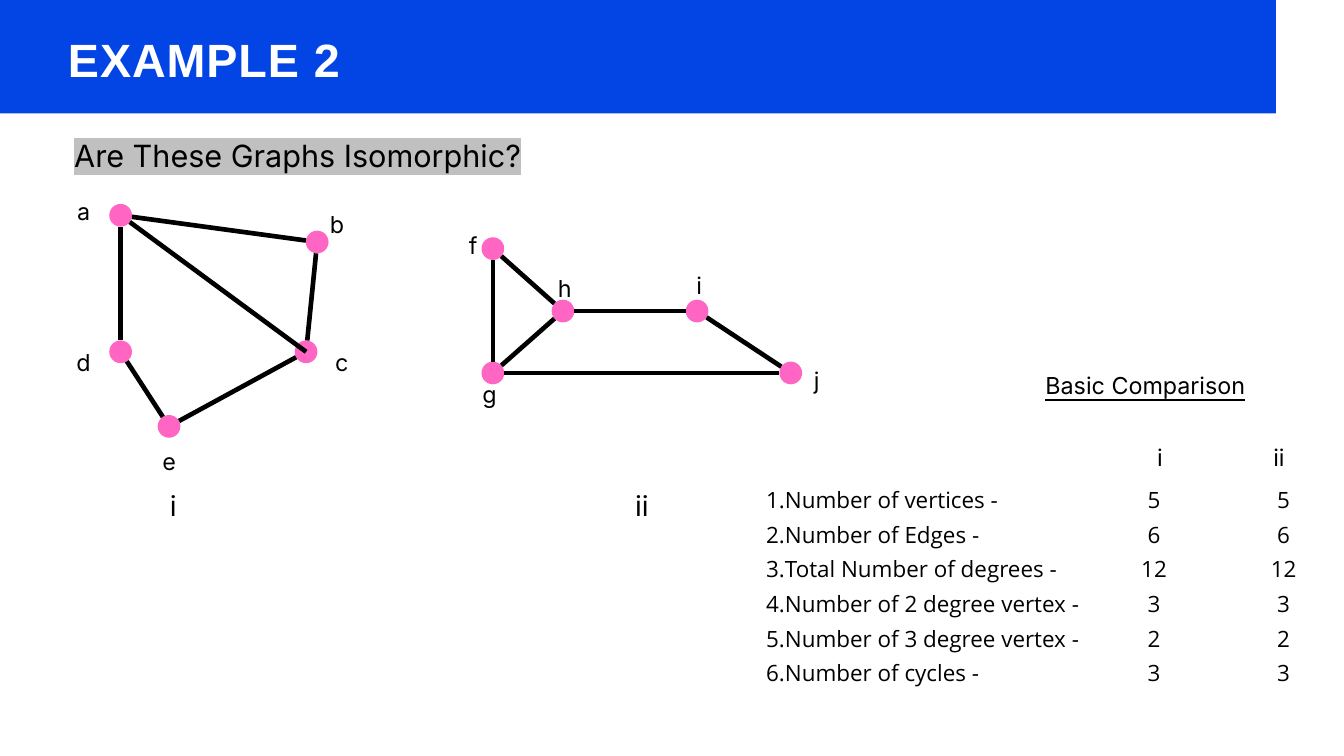
"""Build the slide that compares two graphs for isomorphism."""
import math
from dataclasses import dataclass
from typing import NamedTuple

import lxml.etree
import pptx
import pptx.dml.color
import pptx.enum.shapes
import pptx.enum.text
import pptx.oxml.ns
import pptx.util

Cm = pptx.util.Cm
Pt = pptx.util.Pt
ALIGN = pptx.enum.text.PP_ALIGN
qn = pptx.oxml.ns.qn


@dataclass(frozen=True)
class Theme:
    banner: str = "0345E4"
    white: str = "FFFFFF"
    ink: str = "000000"
    vertex: str = "FF66C4"
    highlight: str = "C0C0C0"
    title_font: str = "Arial"
    font: str = "Inter"
    list_font: str = "Open Sans"
    title: float = 50
    question: float = 32.8
    caption: float = 30
    label: float = 25
    item: float = 24
    edge: float = 5
    radius: float = 0.43


class Box(NamedTuple):
    x: float
    y: float
    w: float
    h: float


class Vertex(NamedTuple):
    name: str
    x: float
    y: float
    label_x: float
    label_y: float


class Edge(NamedTuple):
    start: str
    end: str
    reaches_centre: bool = False


class Graph(NamedTuple):
    caption: str
    caption_x: float
    vertices: list[Vertex]
    edges: list[Edge]


class Comparison(NamedTuple):
    measure: str
    first: int
    second: int


T = Theme()

GRAPHS = [
    Graph("i", 6.55, [
        Vertex("a", 4.56, 8.14, 3.16, 7.84),
        Vertex("b", 11.99, 9.15, 12.74, 8.34),
        Vertex("c", 11.57, 13.3, 12.92, 13.55),
        Vertex("d", 4.56, 13.3, 3.16, 13.55),
        Vertex("e", 6.39, 16.12, 6.39, 17.28),
    ], [Edge("e", "c"), Edge("a", "c", True), Edge("b", "a"),
        Edge("c", "b"), Edge("d", "e"), Edge("d", "a")]),
    Graph("ii", 24.26, [
        Vertex("f", 18.63, 9.4, 17.89, 9.13),
        Vertex("g", 18.63, 14.1, 18.5, 14.77),
        Vertex("h", 21.28, 11.76, 21.35, 10.76),
        Vertex("i", 26.35, 11.76, 26.43, 10.66),
        Vertex("j", 29.89, 14.1, 30.87, 14.24),
    ], [Edge("g", "j"), Edge("h", "i"), Edge("g", "f"),
        Edge("h", "f"), Edge("h", "g"), Edge("i", "j")]),
]

COMPARISONS = [
    Comparison("Number of vertices", 5, 5),
    Comparison("Number of Edges", 6, 6),
    Comparison("Total Number of degrees", 12, 12),
    Comparison("Number of 2 degree vertex", 3, 3),
    Comparison("Number of 3 degree vertex", 2, 2),
    Comparison("Number of cycles", 3, 3),
]


def rgb(value: str) -> pptx.dml.color.RGBColor:
    return pptx.dml.color.RGBColor.from_string(value)


def place(sp, box: Box) -> None:
    sp.left, sp.top, sp.width, sp.height = map(Cm, box)


def write(sp, text: str, *, size: float, leading: float, font: str = T.font,
          color: str = T.ink, align=ALIGN.CENTER, bold: bool = False,
          underline: bool = False, spacing: int = 0, highlight: str = "",
          tabs: tuple[float, ...] = (), numbered: bool = False) -> None:
    tf = sp.text_frame
    tf.word_wrap = True
    tf.auto_size = pptx.enum.text.MSO_AUTO_SIZE.NONE
    tf.vertical_anchor = pptx.enum.text.MSO_ANCHOR.TOP
    tf.margin_left = tf.margin_top = tf.margin_right = tf.margin_bottom = 0
    for n, line in enumerate(text.split("\n")):
        p = tf.add_paragraph() if n else tf.paragraphs[0]
        p.alignment, p.line_spacing = align, Pt(leading)
        p.space_before = Pt(0)
        pPr = p._p.get_or_add_pPr()
        if numbered:
            pPr.set("marL", str(Cm(1.45)))
            pPr.set("indent", str(Cm(-0.71)))
            lxml.etree.SubElement(pPr, qn("a:buAutoNum"), type="arabicPeriod")
        if tabs:
            stops = lxml.etree.SubElement(pPr, qn("a:tabLst"))
            for pos in tabs:
                lxml.etree.SubElement(stops, qn("a:tab"), pos=str(Cm(pos)), algn="ctr")
        r = p.add_run()
        r.text = line
        r.font.name, r.font.size, r.font.bold = font, Pt(size), bold
        r.font.underline = underline
        r.font.color.rgb = rgb(color)
        rPr = r._r.get_or_add_rPr()
        if spacing:
            rPr.set("spc", str(spacing))
        if highlight:
            mark = lxml.etree.Element(qn("a:highlight"))
            lxml.etree.SubElement(mark, qn("a:srgbClr"), val=highlight)
            rPr.find(qn("a:solidFill")).addnext(mark)


def add_text(s, box: Box, text: str, **fmt) -> None:
    write(s.shapes.add_textbox(*map(Cm, box)), text, **fmt)


def add_filled(s, kind, box: Box, color: str) -> None:
    sp = s.shapes.add_shape(kind, *map(Cm, box))
    sp.shadow.inherit = False
    sp.fill.solid()
    sp.fill.fore_color.rgb = rgb(color)
    sp.line.fill.background()


def add_edge(s, start: Vertex, end: Vertex, reaches_centre: bool) -> None:
    dx, dy = end.x - start.x, end.y - start.y
    trim = T.radius / math.hypot(dx, dy)
    stop = 1 if reaches_centre else 1 - trim
    ends = [start.x + dx * trim, start.y + dy * trim,
            start.x + dx * stop, start.y + dy * stop]
    sp = s.shapes.add_connector(pptx.enum.shapes.MSO_CONNECTOR.STRAIGHT, *map(Cm, ends))
    sp.line.color.rgb = rgb(T.ink)
    sp.line.width = Pt(T.edge)
    lxml.etree.SubElement(sp._element.spPr, qn("a:effectLst"))


def add_graph(s, graph: Graph) -> None:
    named = {v.name: v for v in graph.vertices}
    for v in graph.vertices:
        box = Box(v.x - T.radius, v.y - T.radius, 2 * T.radius, 2 * T.radius)
        add_filled(s, pptx.enum.shapes.MSO_SHAPE.OVAL, box, T.vertex)
    for edge in graph.edges:
        add_edge(s, named[edge.start], named[edge.end], edge.reaches_centre)
    for v in graph.vertices:
        add_text(s, Box(v.label_x - 0.42, v.label_y - 0.57, 0.84, 1.14), v.name,
                 size=T.label, leading=35)
    add_text(s, Box(graph.caption_x - 0.41, 18.24, 0.82, 1.4), graph.caption,
             size=T.caption, leading=42)


def main() -> None:
    prs = pptx.Presentation()
    prs.slide_width, prs.slide_height = Cm(50.8), Cm(28.58)
    s = prs.slides.add_slide(prs.slide_layouts[5])
    add_filled(s, pptx.enum.shapes.MSO_SHAPE.RECTANGLE, Box(0, 0, 48.23, 4.29), T.banner)
    title = s.shapes.title
    s.shapes._spTree.append(title._element)
    place(title, Box(2.57, 0.81, 29.92, 2.36))
    write(title, "EXAMPLE 2", size=T.title, leading=70, font=T.title_font,
          color=T.white, align=ALIGN.LEFT, bold=True, spacing=100)
    add_text(s, Box(1.65, 4.95, 19.2, 1.55), "Are These Graphs Isomorphic?",
             size=T.question, leading=46, highlight=T.highlight)
    add_text(s, Box(39.19, 13.87, 8.2, 1.14), "Basic Comparison",
             size=T.label, leading=35, underline=True)
    rows = "\n".join(f"{c.measure} -\t{c.first}\t{c.second}" for c in COMPARISONS)
    add_text(s, Box(28.22, 18.08, 21.97, 7.65), rows, size=T.item, leading=37.2,
             font=T.list_font, align=ALIGN.LEFT, tabs=(15.4, 20.3), numbered=True)
    add_text(s, Box(43.41, 16.59, 5.51, 1.14), "\ti\tii", size=T.label, leading=35,
             align=ALIGN.LEFT, tabs=(0.43, 4.93))
    for graph in GRAPHS:
        add_graph(s, graph)
    prs.save("out.pptx")


if __name__ == "__main__":
    main()
